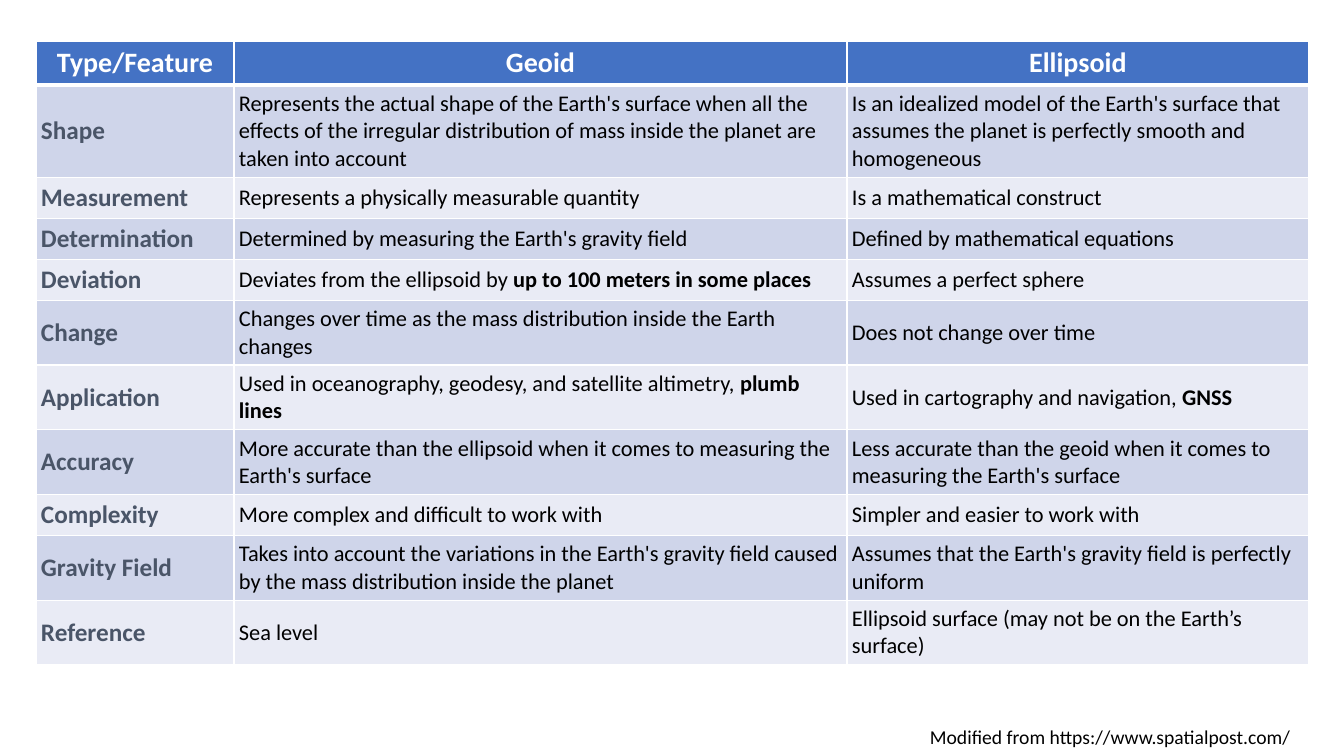
import pptx
import pptx.dml.color
import pptx.enum.text
import pptx.oxml
import pptx.oxml.ns
import pptx.util

# Content: a cell is plain text, or a (plain, bold) pair
HEADINGS = ("Type/Feature", "Geoid", "Ellipsoid")
FEATURES = [
    ("Shape",
     "Represents the actual shape of the Earth's surface when all the effects of the "
     "irregular distribution of mass inside the planet are taken into account",
     "Is an idealized model of the Earth's surface that assumes the planet is perfectly "
     "smooth and homogeneous"),
    ("Measurement", "Represents a physically measurable quantity",
     "Is a mathematical construct"),
    ("Determination", "Determined by measuring the Earth's gravity field",
     "Defined by mathematical equations"),
    ("Deviation", ("Deviates from the ellipsoid by ", "up to 100 meters in some places"),
     "Assumes a perfect sphere"),
    ("Change", "Changes over time as the mass distribution inside the Earth changes",
     "Does not change over time"),
    ("Application",
     ("Used in oceanography, geodesy, and satellite altimetry, ", "plumb lines"),
     ("Used in cartography and navigation, ", "GNSS")),
    ("Accuracy",
     "More accurate than the ellipsoid when it comes to measuring the Earth's surface",
     "Less accurate than the geoid when it comes to measuring the Earth's surface"),
    ("Complexity", "More complex and difficult to work with",
     "Simpler and easier to work with"),
    ("Gravity Field",
     "Takes into account the variations in the Earth's gravity field caused by the mass "
     "distribution inside the planet",
     "Assumes that the Earth's gravity field is perfectly uniform"),
    ("Reference", "Sea level", "Ellipsoid surface (may not be on the Earth’s surface)"),
]
CREDIT = "Modified from https://www.spatialpost.com/"

# Theme: role -> size, colour, bold
THEME = {
    "font": "Calibri",
    "heading": (20, "FFFFFF", True),
    "feature": (18, "4A5568", True),
    "body": (16, "000000", False),
    "credit": (14, "000000", False),
    "header_fill": "4472C4",
    "bands": ("CFD5EA", "E9EBF5"),
    "rule": "FFFFFF",
}

# Layout in px
PX_PER_INCH = 100.8
PAGE = (1344, 756)
TABLE_LEFT, TABLE_TOP = 36, 41
COLUMNS = (198, 613, 462)
ROW_HEIGHT = 41
CELL_INSET = 5
CREDIT_BOX = (920, 720, 457, 34)


def px(length):
    return pptx.util.Emu(round(length * 914400 / PX_PER_INCH))


def colour(code):
    return pptx.dml.color.RGBColor.from_string(code)


def write(para, content, role):
    size, code, bold = THEME[role]
    pieces = (content,) if isinstance(content, str) else content
    for index, piece in enumerate(pieces):
        span = para.add_run()
        span.text = piece
        values = {"name": THEME["font"], "size": pptx.util.Pt(size),
                  "bold": bold or index == 1}
        for name, value in values.items():
            setattr(span.font, name, value)
        span.font.color.rgb = colour(code)


def rule_cell(cell, widths):
    properties = cell._tc.get_or_add_tcPr()
    for side, points in widths.items():
        properties.append(pptx.oxml.parse_xml(
            f'<a:ln{side} {pptx.oxml.ns.nsdecls("a")} w="{pptx.util.Pt(points)}">'
            f'<a:solidFill><a:srgbClr val="{THEME["rule"]}"/></a:solidFill></a:ln{side}>'))


def add_comparison(page):
    rows = [HEADINGS, *FEATURES]
    frame = page.shapes.add_table(len(rows), len(COLUMNS), px(TABLE_LEFT), px(TABLE_TOP),
                                  px(sum(COLUMNS)), px(ROW_HEIGHT * len(rows)))
    table = frame.table
    for column, width in zip(table.columns, COLUMNS):
        column.width = px(width)
    for r, row in enumerate(rows):
        table.rows[r].height = px(ROW_HEIGHT)
        for c, content in enumerate(row):
            cell = table.cell(r, c)
            # The rule under the header is thicker than the others
            rule_cell(cell, {"L": 1, "R": 1, "T": 3 if r == 1 else 1,
                             "B": 3 if r == 0 else 1})
            fill = THEME["bands"][(r - 1) % 2] if r else THEME["header_fill"]
            cell.fill.solid()
            cell.fill.fore_color.rgb = colour(fill)
            cell.vertical_anchor = pptx.enum.text.MSO_ANCHOR.MIDDLE
            for side in ("left", "top", "right", "bottom"):
                setattr(cell, f"margin_{side}", px(CELL_INSET))
            para = cell.text_frame.paragraphs[0]
            if r == 0:
                para.alignment = pptx.enum.text.PP_ALIGN.CENTER
            write(para, content, "heading" if r == 0 else "body" if c else "feature")


def add_credit(page):
    box = page.shapes.add_textbox(*map(px, CREDIT_BOX))
    box.text_frame.word_wrap = True
    box.text_frame.auto_size = pptx.enum.text.MSO_AUTO_SIZE.SHAPE_TO_FIT_TEXT
    write(box.text_frame.paragraphs[0], CREDIT, "credit")


def main():
    deck = pptx.Presentation()
    deck.slide_width, deck.slide_height = map(px, PAGE)
    page = deck.slides.add_slide(deck.slide_layouts[6])
    add_comparison(page)
    add_credit(page)
    deck.save("out.pptx")


if __name__ == "__main__":
    main()
